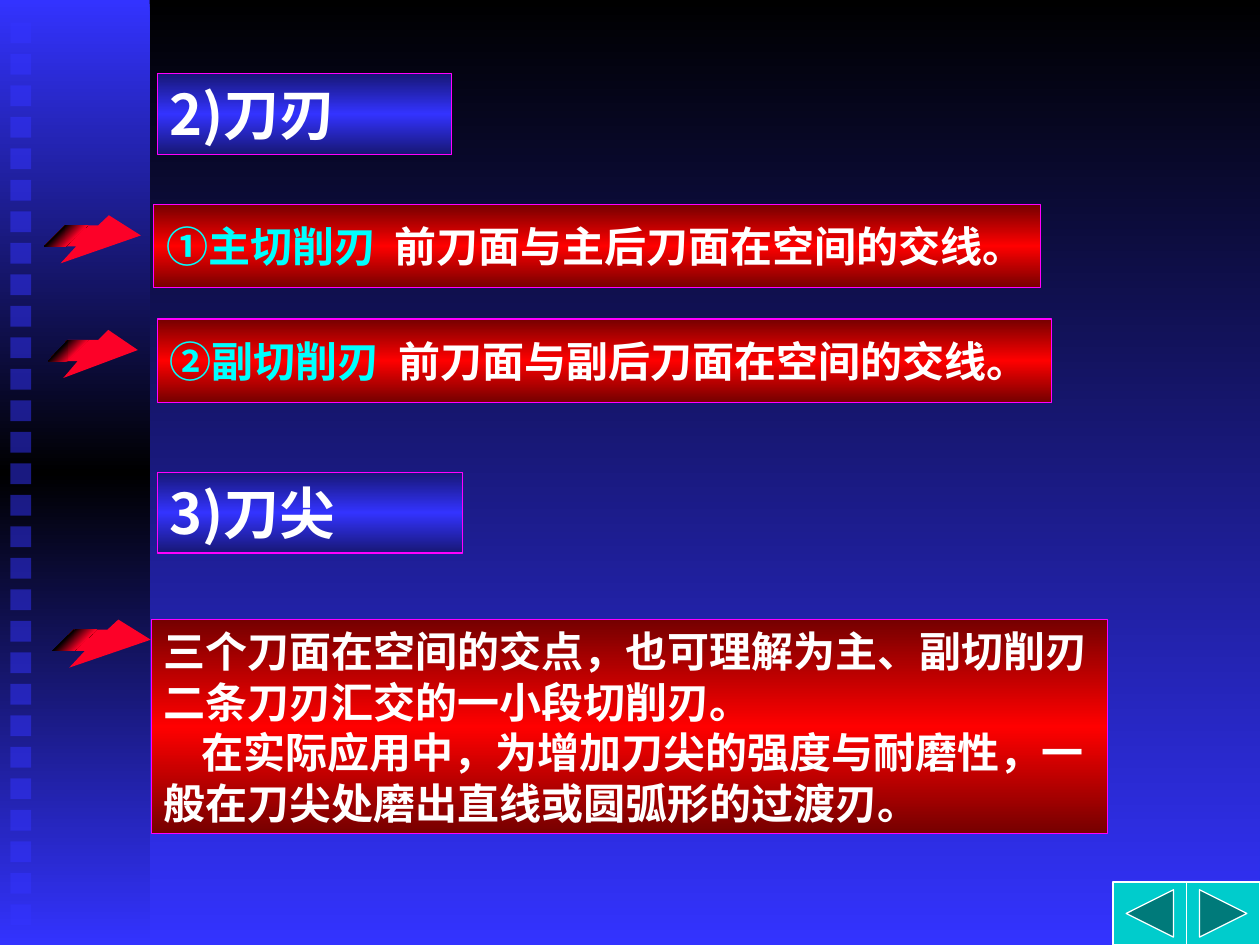
from dataclasses import dataclass

from lxml.etree import SubElement
from pptx import Presentation
from pptx.dml.color import RGBColor
from pptx.enum.shapes import MSO_SHAPE
from pptx.enum.text import MSO_ANCHOR, MSO_AUTO_SIZE, PP_ALIGN
from pptx.oxml.ns import qn
from pptx.util import Cm, Pt

FONT = "Noto Sans CJK SC"
WHITE, CYAN, MAGENTA, SCARLET = "FFFFFF", "00FFFF", "FF00FF", "FC0128"
BLUE_BAND = ("171775", "3333FF", "171775")
RED_BAND = ("750000", "FF0000", "750000")
ARROW = ((1, .42), (.67, 0), (.56, .21), (.22, .21), (0, .65), (.33, .65), (.17, 1))
LEFT_FOLD = ((.22, .21), (.22, .65), (0, .65))
RIGHT_FOLD = ((.45, .21), (.22, .21), (.22, .65))


@dataclass
class Box:
    """Place and size in centimetres."""
    x: float
    y: float
    w: float
    h: float

    def emu(self) -> tuple:
        """Return left, top, width and height as lengths."""
        return Cm(self.x), Cm(self.y), Cm(self.w), Cm(self.h)


@dataclass
class Definition:
    """A term with its meaning, in a banner."""
    box: Box
    term: str
    meaning: str


def rgb(color: str) -> RGBColor:
    """Turn a hex string into a colour."""
    return RGBColor.from_string(color)


def gradient(fill, parent, colors: tuple, angle: int) -> None:
    """Fill with evenly spaced gradient stops."""
    fill.gradient()
    grad = parent.find(qn("a:gradFill"))
    for child in list(grad):
        grad.remove(child)
    stops = SubElement(grad, qn("a:gsLst"))
    for i, color in enumerate(colors):
        gs = SubElement(stops, qn("a:gs"), pos=str(i * 100000 // (len(colors) - 1)))
        SubElement(gs, qn("a:srgbClr"), val=color)
    SubElement(grad, qn("a:lin"), ang=str(angle * 60000), scaled="0")


def paint(sp, fill, angle: int = 90, line: str = "", alpha: int = 100) -> None:
    """Set the fill and outline of a shape."""
    if isinstance(fill, tuple):
        gradient(sp.fill, sp._element.spPr, fill, angle)
    else:
        sp.fill.solid()
        sp.fill.fore_color.rgb = rgb(fill)
        if alpha < 100:
            clr = sp._element.spPr.find(qn("a:solidFill"))[0]
            SubElement(clr, qn("a:alpha"), val=str(alpha * 1000))
    if line:
        sp.line.color.rgb = rgb(line)
        sp.line.width = Pt(0.75)
    else:
        sp.line.fill.background()


def add_box(s, box: Box, fill, kind=MSO_SHAPE.RECTANGLE, **style):
    """Add a painted preset shape."""
    sp = s.shapes.add_shape(kind, *box.emu())
    sp.shadow.inherit = False
    paint(sp, fill, **style)
    return sp


def write(sp, paragraphs: list, size: int = 24, align=PP_ALIGN.LEFT, margin: float = 0.13,
          wrap: bool = True, indents: tuple = (0, 0), tab: float = 0) -> None:
    """Write paragraphs of (text, colour) runs."""
    tf = sp.text_frame
    tf.auto_size, tf.word_wrap = MSO_AUTO_SIZE.NONE, wrap
    tf.vertical_anchor = MSO_ANCHOR.TOP
    tf.margin_left = tf.margin_right = Cm(0.25)
    tf.margin_top = tf.margin_bottom = Cm(margin)
    for i, runs in enumerate(paragraphs):
        p = tf.add_paragraph() if i else tf.paragraphs[0]
        p.alignment = align
        p.space_before = Pt(0)
        pPr = p._p.get_or_add_pPr()
        if indents[i]:
            pPr.set("indent", str(Cm(indents[i])))
        if tab:
            tabs = SubElement(pPr, qn("a:tabLst"))
            SubElement(tabs, qn("a:tab"), pos=str(Cm(tab)), algn="l")
        for text, color in runs:
            r = p.add_run()
            r.text = text
            r.font.size, r.font.bold, r.font.name = Pt(size), True, FONT
            r.font.color.rgb = rgb(color)
            SubElement(r._r.get_or_add_rPr(), qn("a:ea"), typeface=FONT)


def add_outline(s, box: Box, points: tuple, fill, angle: int = 90) -> None:
    """Draw a closed outline from fractions of a box."""
    pts = [(Cm(box.x + fx * box.w), Cm(box.y + fy * box.h)) for fx, fy in points]
    builder = s.shapes.build_freeform(*pts[0])
    builder.add_line_segments(pts[1:], close=True)
    sp = builder.convert_to_shape()
    sp.shadow.inherit = False
    paint(sp, fill, angle)


def add_arrow(s, box: Box) -> None:
    """Draw a folded pointer arrow."""
    add_outline(s, box, ARROW, SCARLET)
    add_outline(s, box, LEFT_FOLD, (SCARLET, "000000", SCARLET), 225)
    add_outline(s, box, RIGHT_FOLD, ("000000", SCARLET, "000000"), 225)


def add_sidebar(s) -> None:
    """Draw the left band with its column of squares."""
    add_box(s, Box(0, 0, 3.02, 19.05), ("3333FF", "000000", "3333FF"))
    for i in range(29):
        add_box(s, Box(0.21, 0.45 + i * 19.05 / 30, 0.42, 0.42), "3333FF", alpha=50)


def main() -> None:
    """Build the slide on cutting edges and the tool tip."""
    prs = Presentation()
    prs.slide_width, prs.slide_height = Cm(25.4), Cm(19.05)
    s = prs.slides.add_slide(prs.slide_layouts[5])
    fill = s.background.fill
    fill.solid()
    gradient(fill, s._element.cSld.bg.bgPr, ("000000", "3333FF"), 90)
    add_sidebar(s)

    title = s.shapes.title
    title.left, title.top, title.width, title.height = Box(3.17, 1.48, 5.93, 1.63).emu()
    paint(title, BLUE_BAND, line=MAGENTA)
    tip = add_box(s, Box(3.17, 9.52, 6.15, 1.63), BLUE_BAND, line=MAGENTA)
    for sp, text in ((title, "2)刀刃"), (tip, "3)刀尖")):
        write(sp, [[(text, WHITE)]], size=32, align=PP_ALIGN.JUSTIFY)

    for d in (
        Definition(Box(3.1, 4.12, 17.88, 1.68), "①主切削刃", "前刀面与主后刀面在空间的交线。"),
        Definition(Box(3.17, 6.43, 18.03, 1.68), "②副切削刃", "前刀面与副后刀面在空间的交线。"),
    ):
        sp = add_box(s, d.box, RED_BAND, line=MAGENTA)
        write(sp, [[(d.term + "\t", CYAN), (d.meaning, WHITE)]], margin=0.33, wrap=False, tab=4.61)

    sp = add_box(s, Box(3.05, 12.49, 19.28, 4.32), RED_BAND, line=MAGENTA)
    write(sp, [
        [("三个刀面在空间的交点，也可理解为主、副切削刃二条刀刃汇交的一小段切削刃。", WHITE)],
        [("在实际应用中，为增加刀尖的强度与耐磨性，一般在刀尖处磨出直线或圆弧形的过渡刃。", WHITE)],
    ], indents=(0, 0.76))

    for x, y, w in ((0.89, 4.34, 1.95), (0.97, 6.65, 1.81), (1.06, 12.49, 1.98)):
        add_arrow(s, Box(x, y, w, 0.97))

    buttons = (MSO_SHAPE.ACTION_BUTTON_BACK_OR_PREVIOUS, MSO_SHAPE.ACTION_BUTTON_FORWARD_OR_NEXT)
    for i, kind in enumerate(buttons):
        add_box(s, Box(22.44 + i * 1.48, 17.78, 1.48, 1.27), "00CCCC", kind, line=WHITE)
    prs.save("out.pptx")


if __name__ == "__main__":
    main()
